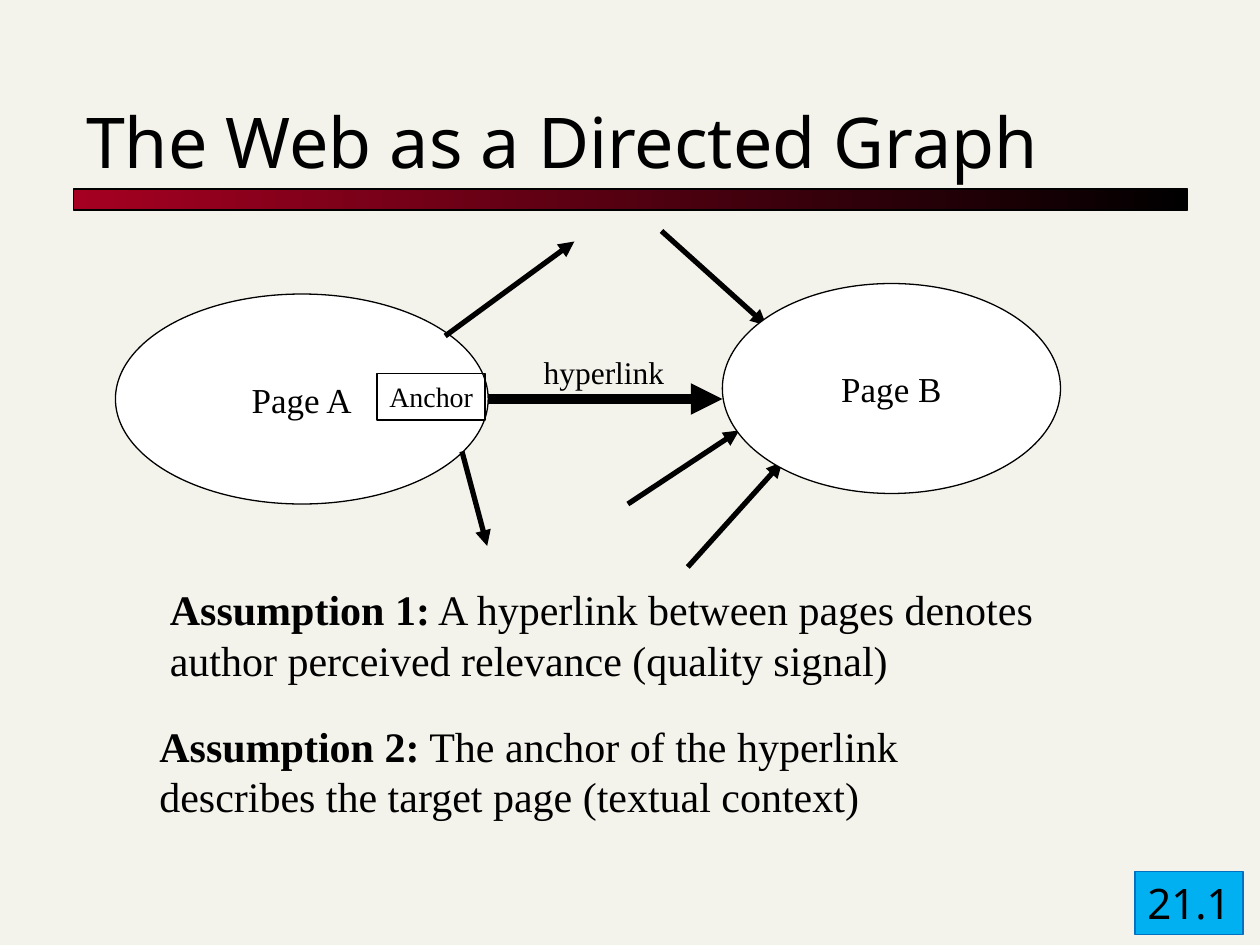
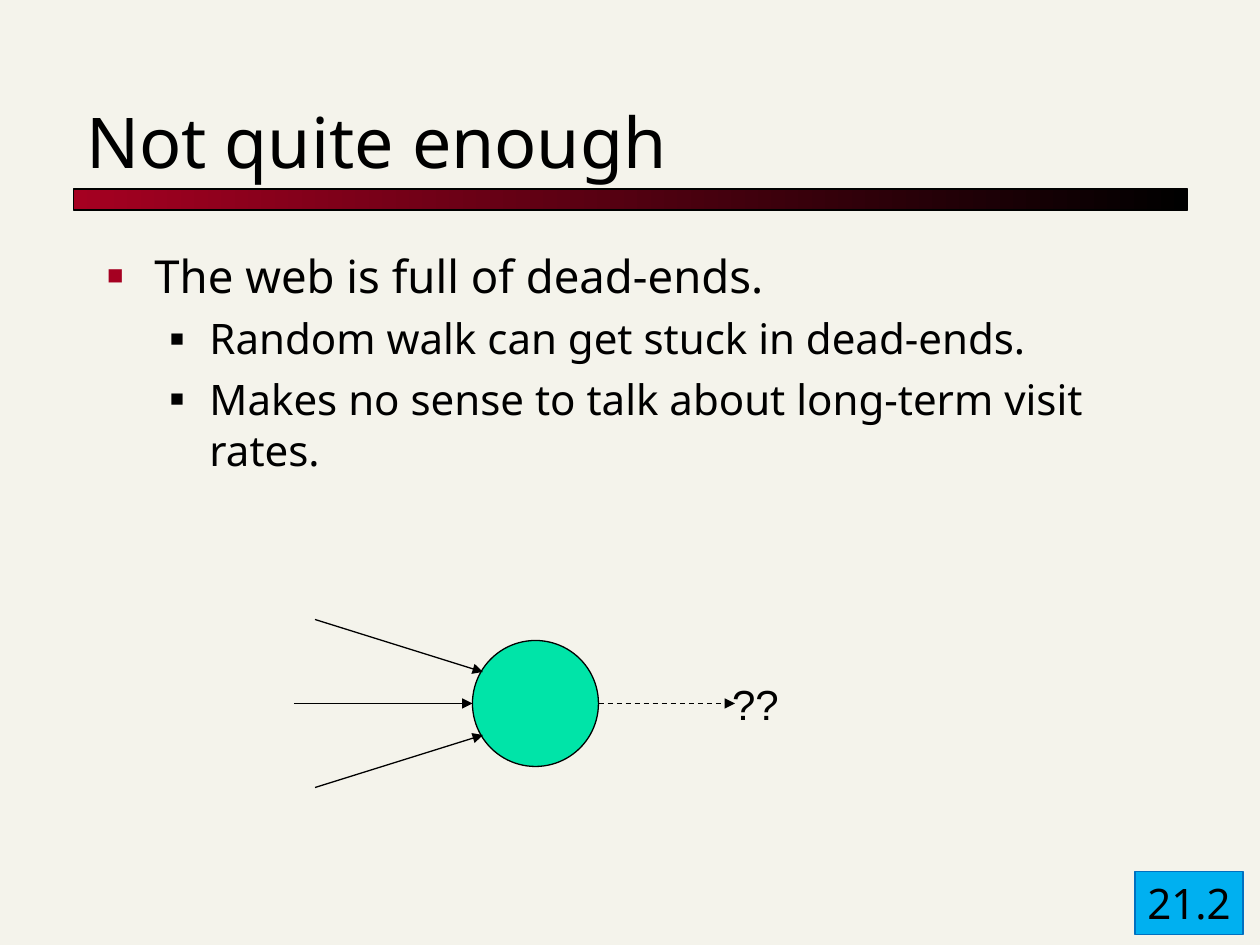
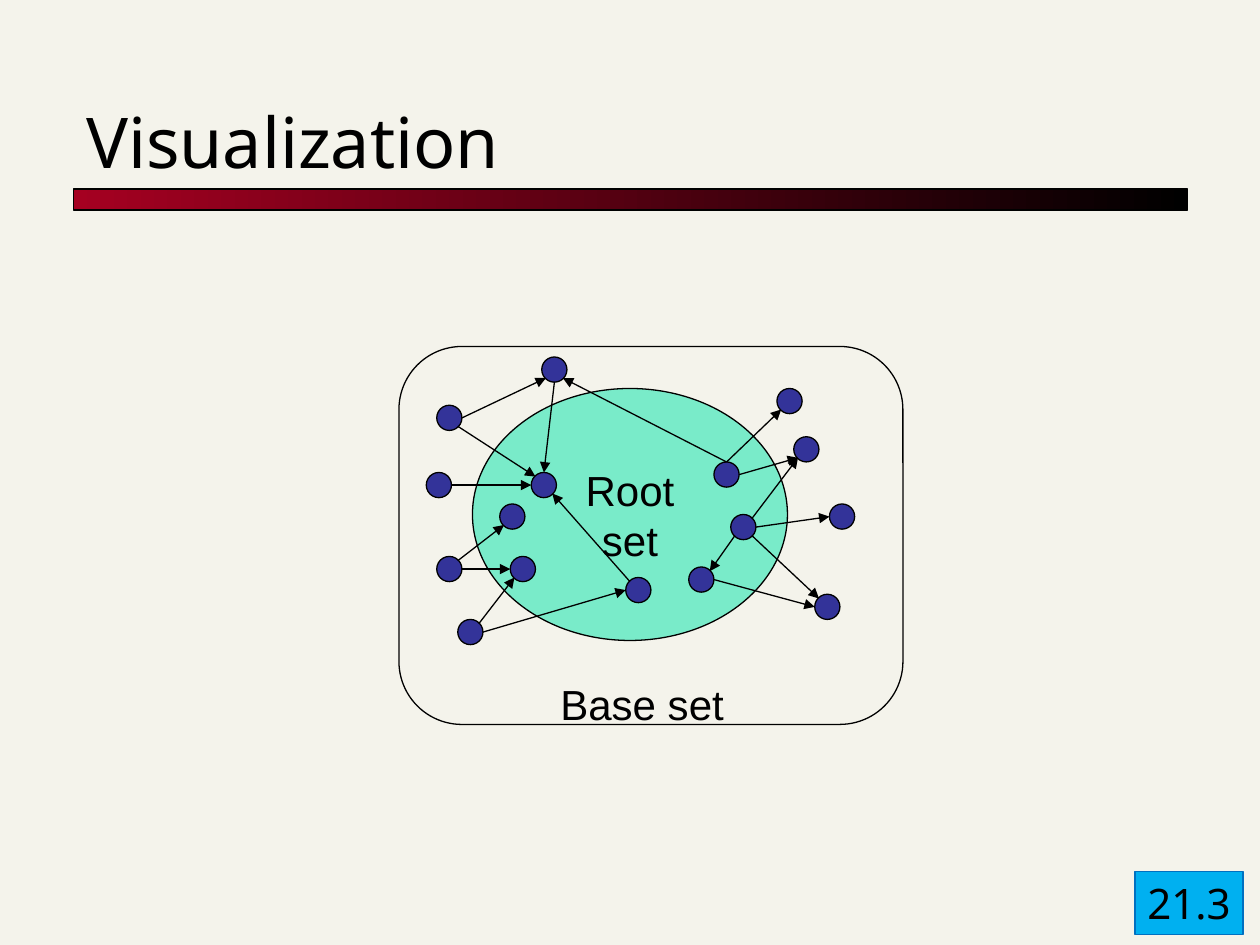
from math import hypot

from lxml.etree import SubElement
from pptx import Presentation
from pptx.dml.color import RGBColor
from pptx.enum.dml import MSO_LINE
from pptx.enum.shapes import MSO_CONNECTOR, MSO_SHAPE
from pptx.enum.text import MSO_ANCHOR, MSO_AUTO_SIZE, PP_ALIGN
from pptx.oxml.ns import qn
from pptx.util import Emu, Pt

PX = 914400 // 120  # 120 px to the inch

BLACK = RGBColor(0x00, 0x00, 0x00)
WHITE = RGBColor(0xFF, 0xFF, 0xFF)
PAPER = RGBColor(0xF4, 0xF3, 0xEB)
CRIMSON = RGBColor(0xA5, 0x00, 0x21)
GREEN = RGBColor(0x00, 0xE4, 0xA8)
INDIGO = RGBColor(0x33, 0x33, 0x99)
SKY = RGBColor(0x00, 0xB0, 0xF0)
SKY_EDGE = RGBColor(0x00, 0x70, 0xC0)

SANS, SERIF, ARIAL = "Noto Sans", "Times New Roman", "Arial"
TITLE_FONT = {"name": SANS, "size": Pt(40)}
NUMBER_FONT = {"name": SANS, "size": Pt(24)}
PAGE_FONT = {"name": SERIF, "size": Pt(20)}
HYPERLINK_FONT = {"name": SERIF, "size": Pt(18)}
ANCHOR_FONT = {"name": SERIF, "size": Pt(16)}
ASSUMPTION_FONT = {"name": SERIF, "size": Pt(24)}
LABEL_FONT = {"name": ARIAL, "size": Pt(24)}

CENTRED = {"align": PP_ALIGN.CENTER, "anchor": MSO_ANCHOR.MIDDLE}

# Per list level: margin and hanging indent in px, bullet colour and size
BULLETS = [
    {"margin": 45, "hang": 45, "colour": CRIMSON, "percent": 60, "size": 26},
    {"margin": 97, "hang": 37, "colour": BLACK, "percent": 55, "size": 24},
]

NODE_SIZE = 24
NODES = {
    "top": (516, 340),
    "west": (406, 450),
    "west_high": (416, 386),
    "south_east": (776, 566),
    "east": (790, 480),
    "east_high": (756, 416),
    "north_east": (740, 370),
    "west_low": (416, 530),
    "south_west": (436, 590),
    "root_south": (596, 550),
    "root_south_east": (656, 540),
    "root_east": (696, 490),
    "root_north_east": (680, 440),
    "root_hub": (506, 450),
    "root_low_west": (486, 530),
    "root_west": (476, 480),
}
SIDES = {
    "N": (0, -1), "NE": (1, -1), "E": (1, 0), "SE": (1, 1),
    "S": (0, 1), "SW": (-1, 1), "W": (-1, 0), "NW": (-1, -1),
}
LINKS = [
    ("top", "S", "root_hub", "N"),
    ("root_north_east", "N", "top", "SE"),
    ("root_north_east", "N", "north_east", "SW"),
    ("root_north_east", "E", "east_high", "SW"),
    ("root_east", "E", "east", "W"),
    ("root_east", "SE", "south_east", "NW"),
    ("root_east", "SW", "root_south_east", "NE"),
    ("root_south_east", "E", "south_east", "W"),
    ("root_east", "NE", "east_high", "SW"),
    ("south_west", "E", "root_south", "W"),
    ("south_west", "NE", "root_low_west", "SW"),
    ("west_low", "E", "root_low_west", "W"),
    ("west_low", "NE", "root_west", "SW"),
    ("root_south", "NW", "root_hub", "SE"),
    ("west", "E", "root_hub", "W"),
    ("west_high", "E", "top", "SW"),
    ("west_high", "SE", "root_hub", "NW"),
]


def emu(*lengths):
    return [Emu(length * PX) for length in lengths]


def set_all(target, values):
    for attribute, value in values.items():
        setattr(target, attribute, value)


def add_run(paragraph, text, font, colour=BLACK, bold=False):
    run = paragraph.add_run()
    run.text = text
    set_all(run.font, {**font, "bold": bold})
    run.font.color.rgb = colour


def write(shape, lines, font, align=PP_ALIGN.LEFT, anchor=MSO_ANCHOR.TOP, wrap=False):
    """Fill a shape with one paragraph per line."""
    frame = shape.text_frame
    set_all(frame, {"word_wrap": wrap, "auto_size": MSO_AUTO_SIZE.NONE,
                    "vertical_anchor": anchor})
    for index, line in enumerate(lines):
        paragraph = frame.add_paragraph() if index else frame.paragraphs[0]
        paragraph.alignment = align
        add_run(paragraph, line, font)


def add_figure(slide, kind, box, fill=None, edge=BLACK):
    figure = slide.shapes.add_shape(kind, *emu(*box))
    figure.shadow.inherit = False
    if fill is None:
        figure.fill.background()
    else:
        figure.fill.solid()
        figure.fill.fore_color.rgb = fill
    figure.line.color.rgb = edge
    figure.line.width = Pt(0.75)
    return figure


def add_label(slide, box, text, font, **layout):
    write(slide.shapes.add_textbox(*emu(*box)), [text], font, **layout)


def add_arrow(slide, start, end, weight=0.75, dash=None):
    arrow = slide.shapes.add_connector(MSO_CONNECTOR.STRAIGHT, *emu(*start, *end))
    arrow.line.color.rgb = BLACK
    set_all(arrow.line, {"width": Pt(weight), "dash_style": dash})
    properties = arrow.element.spPr
    SubElement(properties.find(qn("a:ln")), qn("a:tailEnd"), type="triangle")
    SubElement(properties, qn("a:effectLst"))


def add_assumption(slide, box, heading, first_line, second_line, hang):
    """Bold heading and statement, its second line indented by hang px."""
    assumption = slide.shapes.add_textbox(*emu(*box))
    assumption.text_frame.word_wrap = True
    paragraph = assumption.text_frame.paragraphs[0]
    set_all(paragraph._p.get_or_add_pPr(),
            {"marL": Emu(hang * PX), "indent": Emu(-hang * PX)})
    add_run(paragraph, heading, ASSUMPTION_FONT, bold=True)
    add_run(paragraph, " " + first_line, ASSUMPTION_FONT)
    paragraph.add_line_break()
    add_run(paragraph, second_line, ASSUMPTION_FONT)


def place(placeholder, box):
    set_all(placeholder, dict(zip(("left", "top", "width", "height"), emu(*box))))


def add_bullet(paragraph, style):
    properties = paragraph._p.get_or_add_pPr()
    set_all(properties, {"marL": Emu(style["margin"] * PX),
                         "indent": Emu(-style["hang"] * PX)})
    colour = SubElement(properties, qn("a:buClr"))
    SubElement(colour, qn("a:srgbClr"), val=str(style["colour"]))
    SubElement(properties, qn("a:buSzPct"), val=str(style["percent"] * 1000))
    SubElement(properties, qn("a:buFont"), typeface=ARIAL)
    SubElement(properties, qn("a:buChar"), char="■")


def fill_list(body, items):
    """Write (level, text) items as a bulleted list."""
    place(body, (90, 230, 1020, 640))
    frame = body.text_frame
    frame.auto_size = MSO_AUTO_SIZE.NONE
    for index, (level, text) in enumerate(items):
        paragraph = frame.add_paragraph() if index else frame.paragraphs[0]
        style = BULLETS[level]
        add_bullet(paragraph, style)
        set_all(paragraph, {"level": level, "space_before": Pt(6 if index else 0)})
        add_run(paragraph, text, {"name": SANS, "size": Pt(style["size"])})


def add_slide(deck, layout, title):
    slide = deck.slides.add_slide(deck.slide_layouts.get_by_name(layout))
    place(slide.shapes.title, (70, 50, 1060, 130))
    write(slide.shapes.title, [title], TITLE_FONT, anchor=MSO_ANCHOR.BOTTOM, wrap=True)
    return slide


def add_number(slide, number):
    badge = add_figure(slide, MSO_SHAPE.RECTANGLE, (1081, 830, 103, 60), SKY, SKY_EDGE)
    write(badge, [f"21.{number}"], NUMBER_FONT, align=PP_ALIGN.RIGHT)


def style_master(master, slide):
    """Give the master its background and the band drawn under each title."""
    master.background.fill.solid()
    master.background.fill.fore_color.rgb = PAPER
    band = add_figure(slide, MSO_SHAPE.RECTANGLE, (70, 180, 1061, 20))
    band.fill.gradient()
    band.fill.gradient_angle = 0
    for stop, position, colour in zip(band.fill.gradient_stops, (0, 1), (CRIMSON, BLACK)):
        stop.position = position
        stop.color.rgb = colour
    master.element.cSld.spTree.insert(2, band.element)


def draw_web_graph(slide):
    add_assumption(slide, (150, 550, 970, 108), "Assumption 1:",
                   "A hyperlink between pages denotes",
                   "author perceived relevance (quality signal)", 130)
    add_assumption(slide, (140, 680, 1010, 108), "Assumption 2:",
                   "The anchor of the hyperlink",
                   "describes the target page (textual context)", 10)
    add_arrow(slide, (457, 380), (688, 380), weight=6)
    page_a = add_figure(slide, MSO_SHAPE.OVAL, (110, 280, 355, 200), WHITE)
    write(page_a, ["Page A"], PAGE_FONT, **CENTRED)
    add_label(slide, (506, 330, 139, 48), "hyperlink", HYPERLINK_FONT)
    for start, end in [
        ((440, 430), (464, 520)),
        ((424, 320), (547, 230)),
        ((598, 480), (704, 410)),
        ((655, 540), (745, 440)),
        ((630, 220), (730, 310)),
    ]:
        add_arrow(slide, start, end, weight=3)
    page_b = add_figure(slide, MSO_SHAPE.OVAL, (688, 270, 322, 200), WHITE)
    write(page_b, ["Page B"], PAGE_FONT, **CENTRED)
    anchor = add_figure(slide, MSO_SHAPE.RECTANGLE, (359, 356, 103, 44))
    write(anchor, ["Anchor"], ANCHOR_FONT)


def draw_dead_end(slide):
    add_figure(slide, MSO_SHAPE.OVAL, (450, 610, 120, 120), GREEN)
    for start, end in [
        ((300, 750), (460, 700)),
        ((300, 590), (460, 640)),
        ((280, 670), (450, 670)),
    ]:
        add_arrow(slide, start, end)
    add_arrow(slide, (570, 670), (700, 670), dash=MSO_LINE.DASH)
    add_label(slide, (685, 640, 69, 60), "??", LABEL_FONT, **CENTRED)


def node_edge(node, side):
    """Point on the rim of a node, towards a compass side."""
    radius = NODE_SIZE / 2
    reach = radius / hypot(*SIDES[side])
    return [round(corner + radius + reach * step)
            for corner, step in zip(NODES[node], SIDES[side])]


def draw_root_and_base(slide):
    root = add_figure(slide, MSO_SHAPE.FLOWCHART_CONNECTOR, (450, 370, 300, 240), GREEN)
    green = root.element.spPr.find(qn("a:solidFill")).find(qn("a:srgbClr"))
    SubElement(green, qn("a:alpha"), val="50000")
    write(root, ["Root", "set"], LABEL_FONT, **CENTRED)
    add_figure(slide, MSO_SHAPE.ROUNDED_RECTANGLE, (380, 330, 480, 360))
    for corner in NODES.values():
        add_figure(slide, MSO_SHAPE.OVAL, (*corner, NODE_SIZE, NODE_SIZE), INDIGO)
    for source, leaving, target, entering in LINKS:
        add_arrow(slide, node_edge(source, leaving), node_edge(target, entering))
    add_label(slide, (522, 640, 179, 60), "Base set", LABEL_FONT, **CENTRED)


def main():
    deck = Presentation()
    deck.slide_width, deck.slide_height = emu(1200, 900)

    web_graph = add_slide(deck, "Title Only", "The Web as a Directed Graph")
    style_master(deck.slide_master, web_graph)
    draw_web_graph(web_graph)

    dead_end = add_slide(deck, "Title and Content", "Not quite enough")
    fill_list(dead_end.placeholders[1], [
        (0, "The web is full of dead-ends."),
        (1, "Random walk can get stuck in dead-ends."),
        (1, "Makes no sense to talk about long-term visit rates."),
    ])
    draw_dead_end(dead_end)

    draw_root_and_base(add_slide(deck, "Title Only", "Visualization"))

    for number, slide in enumerate(deck.slides, start=1):
        add_number(slide, number)
    deck.save("out.pptx")


if __name__ == "__main__":
    main()
